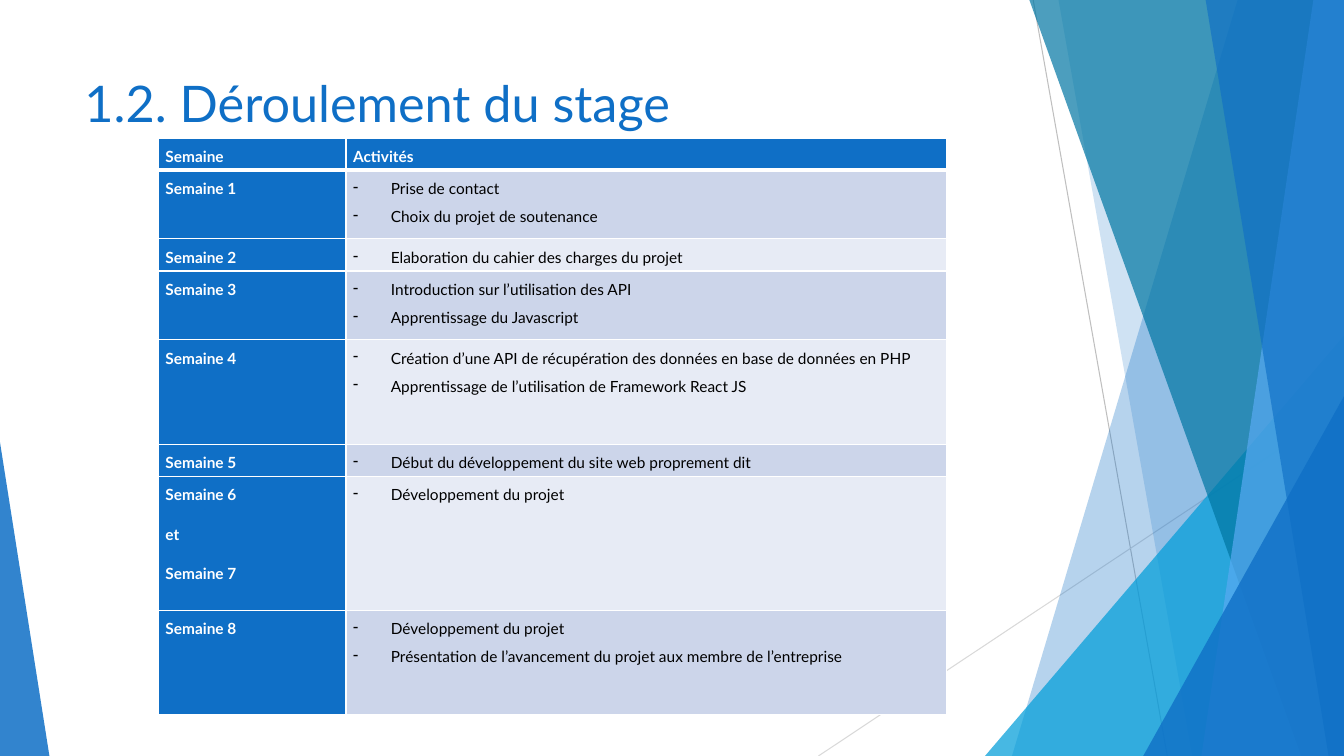
from dataclasses import dataclass
from typing import Union

from lxml.etree import SubElement
from pptx import Presentation
from pptx.dml.color import RGBColor as Rgb
from pptx.enum.shapes import MSO_CONNECTOR as Connector, MSO_SHAPE as Preset
from pptx.enum.text import MSO_ANCHOR as Anchor, PP_ALIGN as Align
from pptx.oxml import parse_xml
from pptx.oxml.ns import nsdecls, qn
from pptx.util import Pt

FONT = "Lato"
WIDTH, HEIGHT = 960, 540
BULLET_INDENT = 27
COLORS = {
    "blue": "0F6FC6", "cyan": "009DD9", "teal": "0076A3", "sky": "59AAF2",
    "white": "FFFFFF", "black": "000000", "dark_band": "CCD5EA",
    "light_band": "E7EBF5", "grey": "BFBFBF", "pale_grey": "D9D9D9",
}


@dataclass
class Ray:
    start: tuple[float, float]
    end: tuple[float, float]
    color: str


@dataclass
class Band:
    top_x: float
    bottom_x: float
    color: str
    opacity: int


@dataclass
class Wedge:
    left: float
    width: float
    height: float
    apex: int
    color: str
    opacity: int


@dataclass
class Week:
    labels: list[str]
    activities: list[str]
    height: float


RAYS = [
    Ray((738, 0), (833.8, HEIGHT), "grey"),
    Ray((WIDTH, 290.2), (584.6, HEIGHT), "pale_grey"),
]
FACETS: list[Union[Band, Wedge]] = [
    Band(884.2, 722.9, "blue", 30),
    Band(756, 851.8, "blue", 20),
    Wedge(703.6, 256.4, 300.2, 1, "cyan", 72),
    Band(735.1, 929.5, "teal", 70),
    Band(938.2, 858.2, "sky", 70),
    Band(861.1, 949, "blue", 65),
    Wedge(816.6, 143.4, 257, 1, "blue", 80),
    Wedge(0, 35.3, 224, 0, "blue", 85),
]
HEADER_HEIGHT = 23
COLUMN_WIDTHS = (134, 429)
WEEKS = [
    Week(["Semaine 1"], ["Prise de contact", "Choix du projet de soutenance"], 49),
    Week(["Semaine 2"], ["Elaboration du cahier des charges du projet"], 23),
    Week(["Semaine 3"], ["Introduction sur l’utilisation des API",
                         "Apprentissage du Javascript"], 49),
    Week(["Semaine 4"],
         ["Création d’une API de récupération des données en base de données en PHP",
          "Apprentissage de l’utilisation de Framework React JS"], 74.7),
    Week(["Semaine 5"], ["Début du développement du site web proprement dit"], 23),
    Week(["Semaine 6", "et", "Semaine 7"], ["Développement du projet"], 95.6),
    Week(["Semaine 8"],
         ["Développement du projet",
          "Présentation de l’avancement du projet aux membre de l’entreprise"], 74.7),
]


def rgb(color: str) -> Rgb:
    return Rgb.from_string(COLORS[color])


def style_run(run, size: float, color: str, bold: bool = False) -> None:
    run.font.name = FONT
    run.font.size = Pt(size)
    run.font.bold = bold
    run.font.color.rgb = rgb(color)


def draw_ray(slide, ray: Ray) -> None:
    line = slide.shapes.add_connector(
        Connector.STRAIGHT, *(Pt(value) for value in ray.start + ray.end))
    line.line.color.rgb = rgb(ray.color)
    line.line.width = Pt(0.75)
    SubElement(line._element.spPr, qn("a:effectLst"))


def draw_facet(slide, facet: Union[Band, Wedge]) -> None:
    if isinstance(facet, Band):
        builder = slide.shapes.build_freeform(Pt(facet.top_x), Pt(-0.5))
        corners = [(WIDTH, -0.5), (WIDTH, HEIGHT), (facet.bottom_x, HEIGHT)]
        builder.add_line_segments([(Pt(x), Pt(y)) for x, y in corners], close=True)
        shape = builder.convert_to_shape()
    else:
        shape = slide.shapes.add_shape(
            Preset.ISOSCELES_TRIANGLE, Pt(facet.left), Pt(HEIGHT - facet.height),
            Pt(facet.width), Pt(facet.height))
        shape.adjustments[0] = facet.apex
    shape.shadow.inherit = False
    shape.line.fill.background()
    shape.fill.solid()
    shape.fill.fore_color.rgb = rgb(facet.color)
    color_node = shape._element.spPr.find(qn("a:solidFill"))[0]
    SubElement(color_node, qn("a:alpha"), val=str(facet.opacity * 1000))


def draw_title(slide) -> None:
    title = slide.shapes.add_textbox(Pt(53.3), Pt(48.2), Pt(676.8), Pt(103.7))
    frame = title.text_frame
    frame.word_wrap = True
    frame.vertical_anchor = Anchor.TOP
    frame.text = "1.2. Déroulement du stage"
    style_run(frame.paragraphs[0].runs[0], 36, "blue")


def set_borders(cell, top: float, bottom: float) -> None:
    properties = cell._tc.get_or_add_tcPr()
    sides = {"L": 1, "R": 1, "T": top, "B": bottom}
    for index, (side, width) in enumerate(sides.items()):
        properties.insert(index, parse_xml(
            f'<a:ln{side} {nsdecls("a")} w="{Pt(width)}"><a:solidFill>'
            f'<a:srgbClr val="{COLORS["white"]}"/></a:solidFill></a:ln{side}>'))


def fill_cell(cell, lines: list[str], fill: str, color: str, bulleted: bool) -> None:
    cell.fill.solid()
    cell.fill.fore_color.rgb = rgb(fill)
    cell.margin_left = cell.margin_right = Pt(5)
    cell.margin_top = cell.margin_bottom = 0
    cell.text_frame.text = "\n".join(lines)
    paragraphs = cell.text_frame.paragraphs
    for index, paragraph in enumerate(paragraphs):
        is_last = index == len(paragraphs) - 1
        paragraph.alignment = Align.JUSTIFY
        paragraph.line_spacing = 1.5
        paragraph.space_after = Pt(0 if bulleted and not is_last else 8)
        style_run(paragraph.runs[0], 11, color, bold=not bulleted)
        if bulleted:
            properties = paragraph._p.get_or_add_pPr()
            properties.set("marL", str(Pt(BULLET_INDENT)))
            properties.set("indent", str(-Pt(BULLET_INDENT)))
            SubElement(properties, qn("a:buChar"), char="-")


def draw_schedule(slide) -> None:
    heights = [HEADER_HEIGHT] + [week.height for week in WEEKS]
    schedule = slide.shapes.add_table(
        len(heights), len(COLUMN_WIDTHS), Pt(113.2), Pt(98.6),
        Pt(sum(COLUMN_WIDTHS)), Pt(sum(heights))).table
    for column, width in zip(schedule.columns, COLUMN_WIDTHS):
        column.width = Pt(width)
    for row, height in zip(schedule.rows, heights):
        row.height = Pt(height)
    for index, heading in enumerate(("Semaine", "Activités")):
        cell = schedule.cell(0, index)
        fill_cell(cell, [heading], "blue", "white", False)
        set_borders(cell, 1, 3)
    for index, week in enumerate(WEEKS, start=1):
        week_cell, activity_cell = schedule.cell(index, 0), schedule.cell(index, 1)
        band = "dark_band" if index % 2 else "light_band"
        fill_cell(week_cell, week.labels, "blue", "white", False)
        fill_cell(activity_cell, week.activities, band, "black", True)
        for cell in (week_cell, activity_cell):
            set_borders(cell, 3 if index == 1 else 1, 1)


def main() -> None:
    deck = Presentation()
    deck.slide_width, deck.slide_height = Pt(WIDTH), Pt(HEIGHT)
    slide = deck.slides.add_slide(deck.slide_layouts[6])
    for ray in RAYS:
        draw_ray(slide, ray)
    for facet in FACETS:
        draw_facet(slide, facet)
    draw_title(slide)
    draw_schedule(slide)
    deck.save("out.pptx")


if __name__ == "__main__":
    main()
